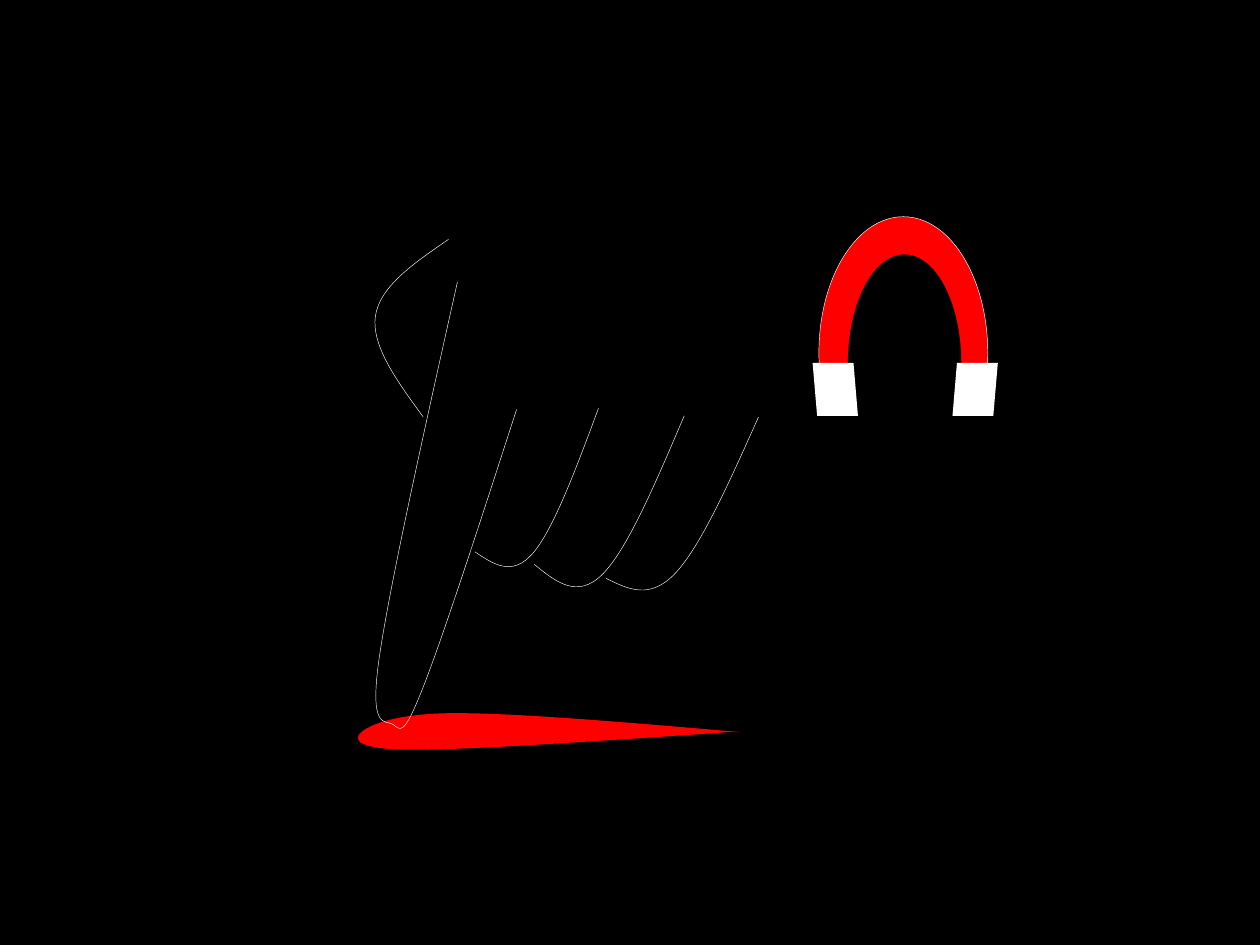
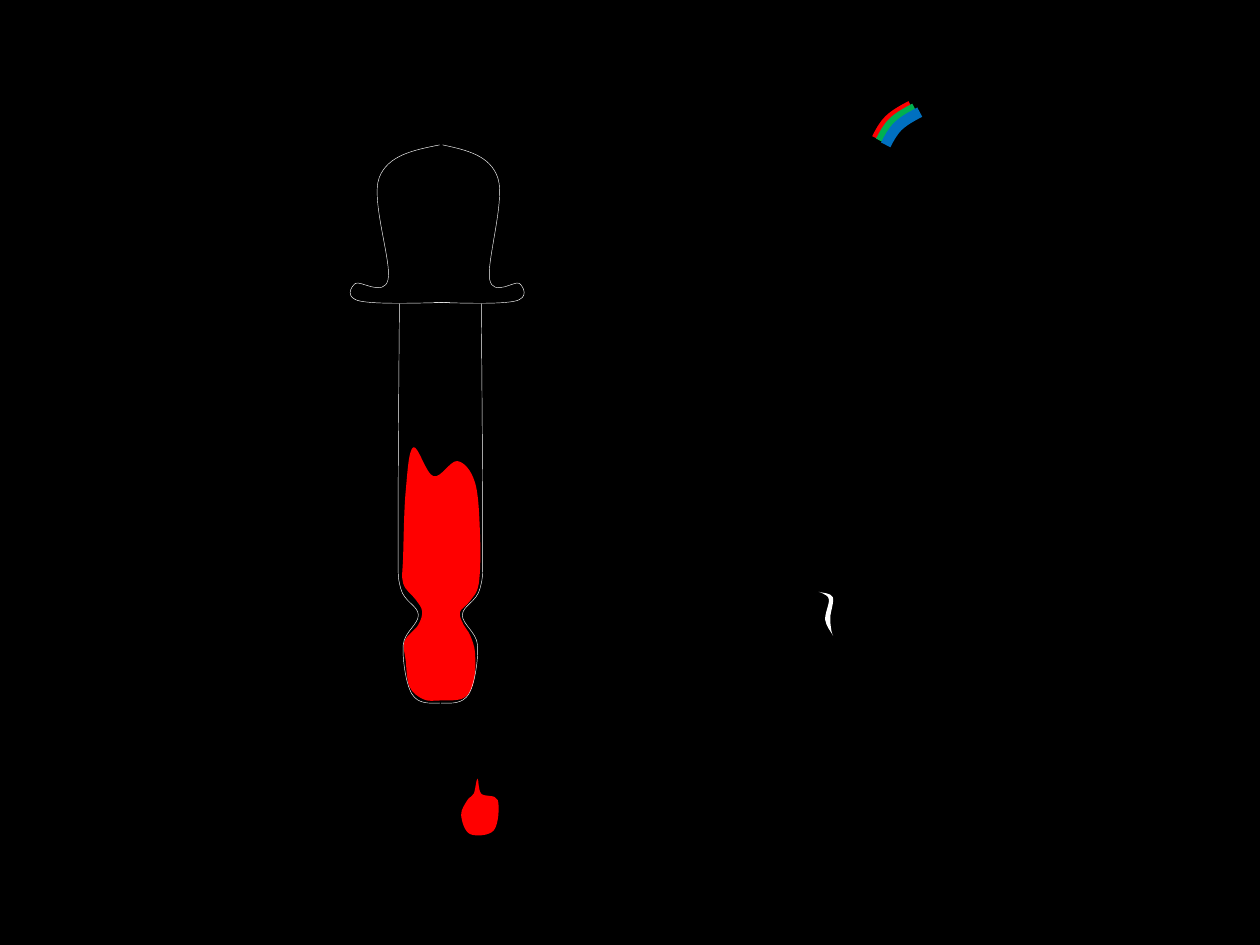
from lxml import etree
from pptx import Presentation
from pptx.dml.color import RGBColor
from pptx.enum.shapes import MSO_SHAPE
from pptx.oxml.ns import qn
from pptx.util import Cm, Pt

CHORD = MSO_SHAPE.CHORD
PARALLELOGRAM = MSO_SHAPE.PARALLELOGRAM
BLANK = 6
CM_PER_INCH = 2.54
SAMPLES = 16
HAIRLINE = 0.25
COLORS = {
    "black": "000000",
    "white": "FFFFFF",
    "red": "FF0000",
    "green": "00B050",
    "blue": "0070C0",
}


def length(inches):
    return Cm(inches * CM_PER_INCH)


def combine(*terms):
    return tuple(sum(w * p[axis] for w, p in terms) for axis in (0, 1))


def midpoint(a, b):
    return combine((0.5, a), (0.5, b))


def spline(anchors, closed):
    if closed:
        pts = [anchors[-1], *anchors, *anchors[:2]]
    else:
        pts = [anchors[0], *anchors, anchors[-1]]
    segments = []
    for before, start, end, after in zip(pts, pts[1:], pts[2:], pts[3:]):
        leave = combine((1, start), (1 / 6, end), (-1 / 6, before))
        arrive = combine((1, end), (1 / 6, start), (-1 / 6, after))
        segments.append([start, leave, arrive, end])
    if not closed:
        first, last = segments[0], segments[-1]
        first[1] = midpoint(first[0], first[2])
        last[2] = midpoint(last[1], last[3])
    return segments


def point_on(segment, t):
    u = 1 - t
    weights = (u**3, 3 * u * u * t, 3 * u * t * t, t**3)
    return combine(*zip(weights, segment))


def to_emu(point):
    return tuple(int(length(v)) for v in point)


def mirror(points, left, right, scale=1):
    return [(right - (x - left) * scale, y) for x, y in points]


def shift(points, dx, dy):
    return [(x + dx, y + dy) for x, y in points]


class Sketch:
    def __init__(self):
        self.prs = Presentation()
        self.prs.slide_width = length(10)
        self.prs.slide_height = length(7.5)

    def slide(self):
        self.s = self.prs.slides.add_slide(self.prs.slide_layouts[BLANK])
        fill = self.s.background.fill
        fill.solid()
        fill.fore_color.rgb = self.color("black")

    def color(self, name):
        return RGBColor.from_string(COLORS[name])

    def group(self):
        return self.s.shapes.add_group_shape().shapes

    def style(self, sp, fill=None, line=None, width=HAIRLINE):
        sp.shadow.inherit = False
        if fill:
            sp.fill.solid()
            sp.fill.fore_color.rgb = self.color(fill)
        else:
            sp.fill.background()
        if line:
            sp.line.color.rgb = self.color(line)
            sp.line.width = Pt(width)
        else:
            sp.line.fill.background()

    def curve(self, anchors, shapes=None, closed=False, **style):
        segments = spline(anchors, closed)
        start = to_emu(anchors[0])
        outline = [
            to_emu(point_on(segment, k / SAMPLES))
            for segment in segments
            for k in range(1, SAMPLES + 1)
        ]
        target = self.s.shapes if shapes is None else shapes
        builder = target.build_freeform(*start, scale=1.0)
        builder.add_line_segments(outline, close=closed)
        sp = builder.convert_to_shape()
        origin = [min(values) for values in zip(start, *outline)]
        self.use_beziers(sp, segments, origin)
        self.style(sp, **style)

    def use_beziers(self, sp, segments, origin):
        path = next(sp._element.iter(qn("a:path")))
        for node in path.findall(qn("a:lnTo")):
            path.remove(node)
        for i, segment in enumerate(segments, 1):
            node = etree.Element(qn("a:cubicBezTo"))
            for point in segment[1:]:
                pt = etree.SubElement(node, qn("a:pt"))
                for axis, value, zero in zip("xy", to_emu(point), origin):
                    pt.set(axis, str(value - zero))
            path.insert(i, node)

    def shape(self, kind, box, adjustments, flip=False, **style):
        sp = self.s.shapes.add_shape(kind, *map(length, box))
        for i, value in enumerate(adjustments):
            sp.adjustments[i] = value
        if flip:
            sp._element.spPr.get_or_add_xfrm().set("flipH", "1")
        self.style(sp, **style)


def draw_smear(d):
    tip, end = (5.87, 5.81), (5.79, 5.81)
    blob = [(3.62, 5.66), (2.87, 5.81), (3.28, 5.95)]
    d.curve([tip, *blob, end], fill="red")


def draw_hand(d):
    fingers = {
        "index": [(3.63, 2.24), (3.01, 5.22), (3.12, 5.75), (3.36, 5.45), (4.1, 3.25)],
        "middle": [(3.77, 4.38), (4.23, 4.39), (4.75, 3.24)],
        "ring": [(4.24, 4.48), (4.78, 4.56), (5.43, 3.3)],
        "little": [(4.81, 4.59), (5.36, 4.55), (6.02, 3.31)],
        "thumb": [(3.56, 1.9), (2.98, 2.51), (3.36, 3.31)],
    }
    for anchors in fingers.values():
        d.curve(anchors, line="white")


def draw_magnet(d):
    d.shape(CHORD, (6.5, 1.72, 1.34, 2.16), (85.477, 22.417), fill="red", line="white")
    d.shape(CHORD, (6.73, 2.02, 0.9, 1.73), (78.914, 31.18), fill="black")
    pole_top, pole_width, pole_height = 2.88, 0.36, 0.42
    for left, flip in ((7.56, False), (6.45, True)):
        box = (left, pole_top, pole_width, pole_height)
        d.shape(PARALLELOGRAM, box, (0.099,), flip, fill="white")


def draw_liquid(d):
    left_chamber = [(3.36, 5.55), (3.25, 5.45), (3.22, 5.24), (3.21, 5.09)]
    left_neck = [(3.32, 4.96), (3.35, 4.85), (3.3, 4.76)]
    left_wall = [(3.2, 4.63), (3.2, 4.41), (3.22, 3.9)]
    waves = [(3.28, 3.55), (3.44, 3.78), (3.63, 3.66)]
    right_wall = [(3.77, 3.83), (3.81, 4.25), (3.8, 4.63)]
    right_neck = [(3.73, 4.77), (3.65, 4.86), (3.68, 4.96)]
    right_chamber = [(3.73, 5.04), (3.77, 5.18), (3.76, 5.41), (3.68, 5.54)]
    bottom = [(3.49, 5.56)]
    up = left_chamber + left_neck + left_wall
    down = right_wall + right_neck + right_chamber
    d.curve(up + waves + down + bottom, closed=True, fill="red")


def draw_bulb(d):
    rim = [(3.57, 2.4), (2.86, 2.39), (2.82, 2.25)]
    dome = [(3.08, 2.22), (3.01, 1.41), (3.49, 1.15)]
    left_half = rim + dome
    for half in (left_half, mirror(left_half, 2.78, 4.16, 0.91)):
        d.curve(half, line="white")


def draw_tube(d):
    wall = [(3.17, 2.41), (3.16, 4.23), (3.18, 4.67)]
    neck = [(3.32, 4.88)]
    chamber = [(3.2, 5.12), (3.27, 5.51), (3.49, 5.58)]
    left_half = wall + neck + chamber
    glass = d.group()
    for half in (left_half, mirror(left_half, 3.16, 3.83)):
        d.curve(half, glass, line="white")


def draw_drop(d):
    tip = [(3.79, 6.18)]
    left_side = [(3.76, 6.3), (3.71, 6.35), (3.66, 6.47), (3.73, 6.62)]
    right_side = [(3.92, 6.59), (3.95, 6.35), (3.82, 6.3)]
    d.curve(tip + left_side + right_side, closed=True, fill="red")


def draw_rainbow(d):
    arc = [(6.96, 1.1), (7.06, 0.95), (7.23, 0.84)]
    offsets = {"red": (0, 0), "green": (0.03, 0.02), "blue": (0.07, 0.05)}
    rainbow = d.group()
    for color, offset in offsets.items():
        d.curve(shift(arc, *offset), rainbow, line=color, width=6)


def draw_wisp(d):
    inner_edge = [(6.53, 4.71), (6.58, 4.76), (6.55, 4.92), (6.61, 5.04)]
    outer_edge = [(6.6, 5.01), (6.59, 4.9), (6.61, 4.74), (6.51, 4.7)]
    tip = [(6.5, 4.7), (6.51, 4.7)]
    d.curve(inner_edge + outer_edge + tip, closed=True, fill="white")


SLIDES = (
    (draw_smear, draw_hand, draw_magnet),
    (draw_liquid, draw_bulb, draw_tube, draw_drop, draw_rainbow, draw_wisp),
)

sketch = Sketch()
for drawings in SLIDES:
    sketch.slide()
    for draw in drawings:
        draw(sketch)
sketch.prs.save("out.pptx")
